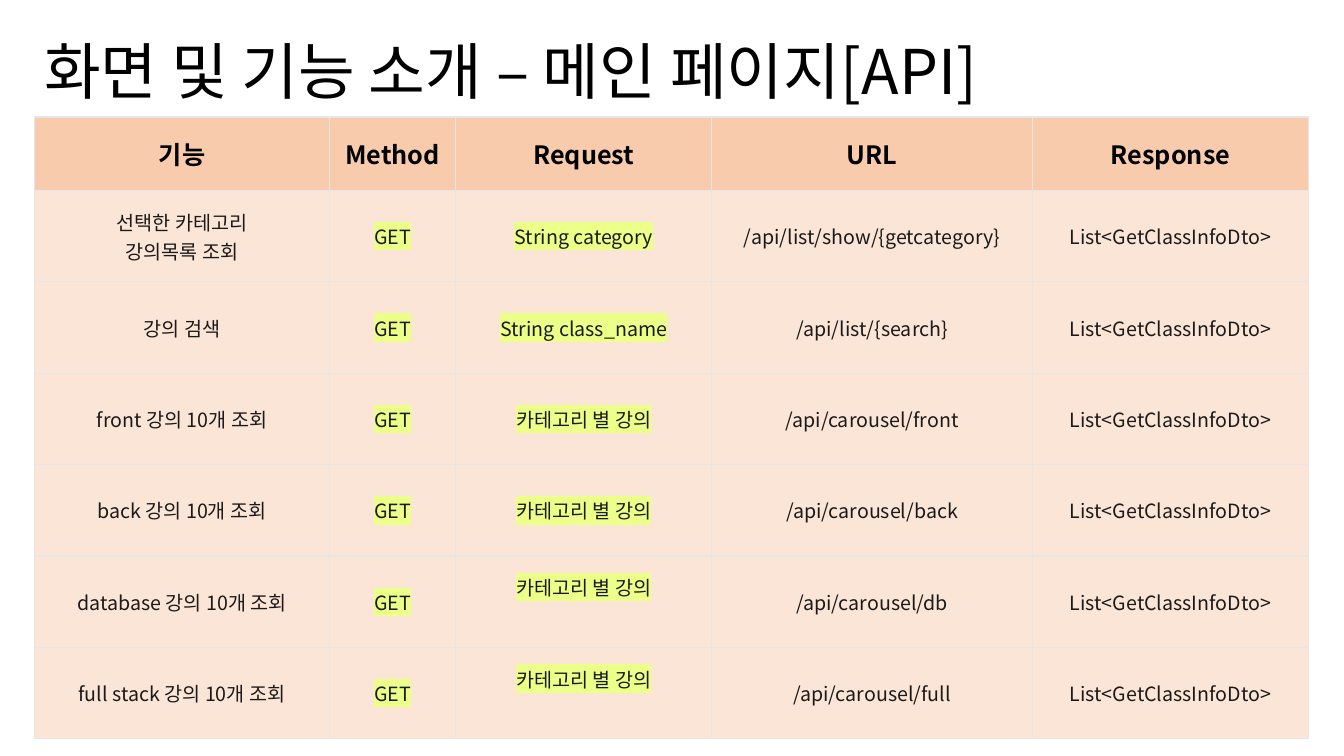
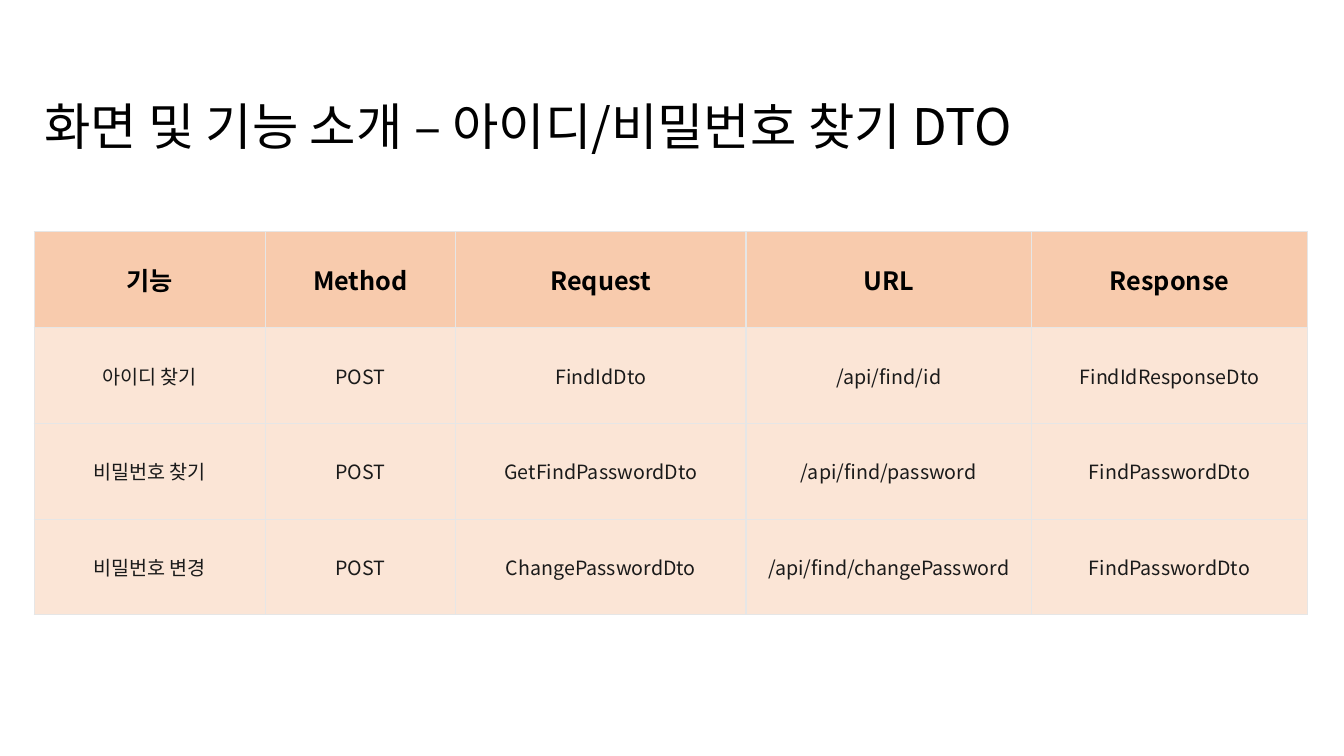
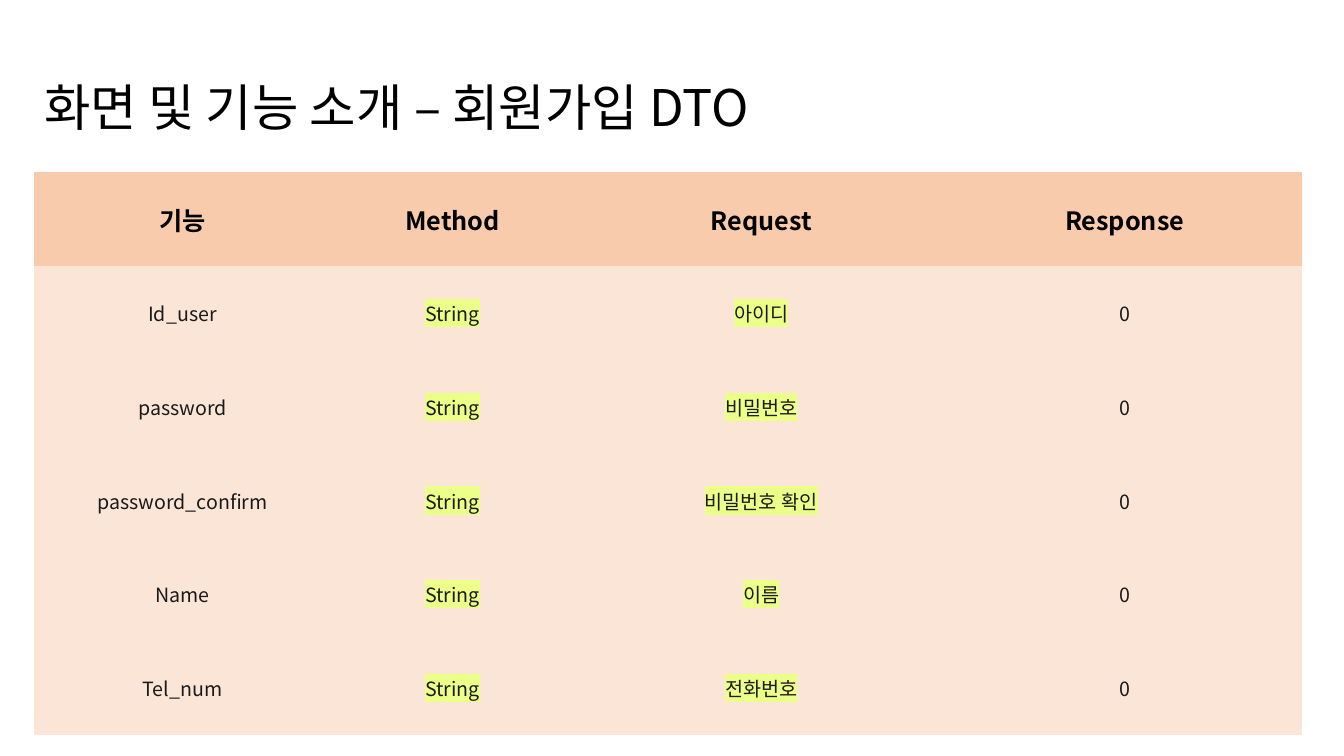
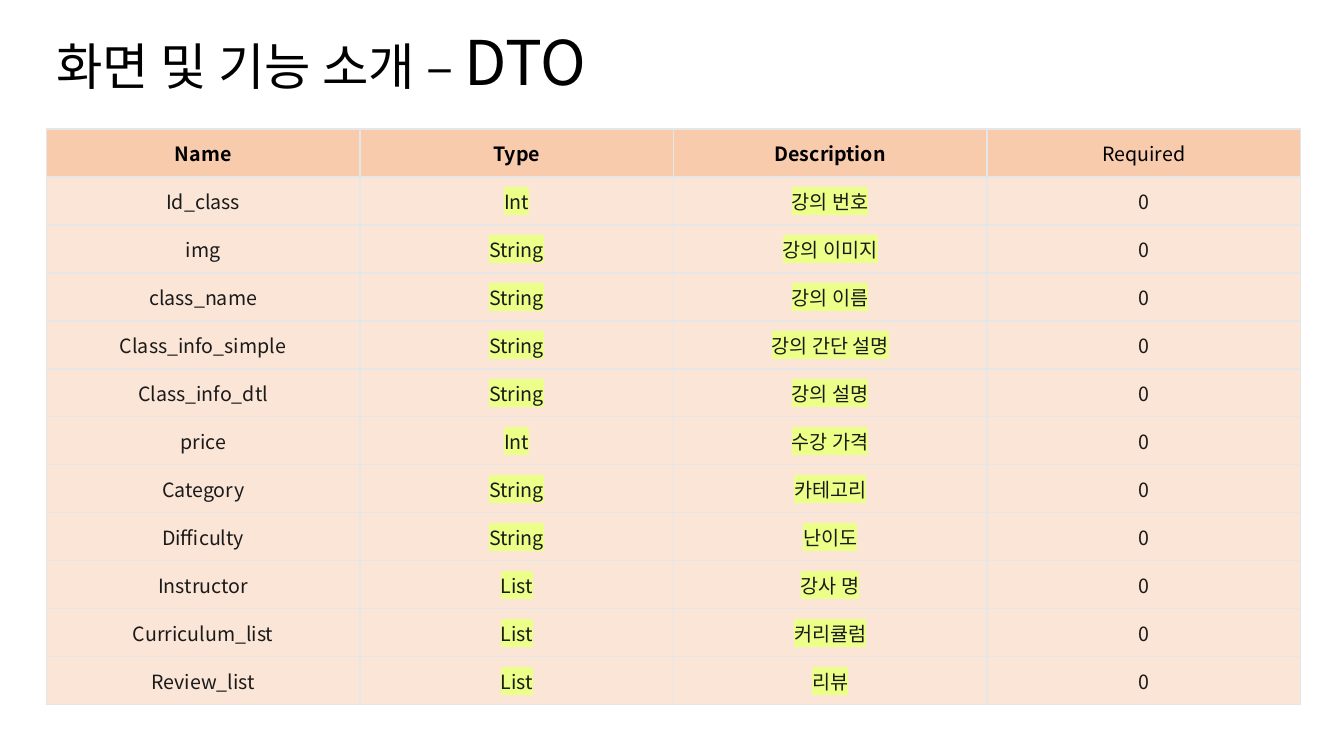
from lxml import etree
from pptx import Presentation
from pptx.dml.color import RGBColor
from pptx.enum import text
from pptx.oxml import ns
from pptx.util import Inches, Pt

FONT = "Noto Sans CJK KR"
BLACK = RGBColor(0x00, 0x00, 0x00)
INK = RGBColor(0x1A, 0x1A, 0x1A)
HEADER = RGBColor(0xF8, 0xCB, 0xAD)
BODY = RGBColor(0xFB, 0xE5, 0xD6)
GRID = RGBColor(0xE6, 0xE6, 0xE6)
MARKER = RGBColor(0xEC, 0xFF, 0x88)

TOPIC = "화면 및 기능 소개 – "
API_HEADER = ["기능", "Method", "Request", "URL", "Response"]
CLASS_LIST = "List<GetClassInfoDto>"
BY_CATEGORY = "카테고리 별 강의"

LECTURES = [("front", "front"), ("back", "back"), ("database", "db"), ("full stack", "full")]
MAIN_ROWS = [
    ["선택한 카테고리\n강의목록 조회", "GET", "String category", "/api/list/show/{getcategory}", CLASS_LIST],
    ["강의 검색", "GET", "String class_name", "/api/list/{search}", CLASS_LIST],
] + [[f"{name} 강의 10개 조회", "GET", BY_CATEGORY, f"/api/carousel/{route}", CLASS_LIST]
     for name, route in LECTURES]

FIND_ROWS = [
    ["아이디 찾기", "POST", "FindIdDto", "/api/find/id", "FindIdResponseDto"],
    ["비밀번호 찾기", "POST", "GetFindPasswordDto", "/api/find/password", "FindPasswordDto"],
    ["비밀번호 변경", "POST", "ChangePasswordDto", "/api/find/changePassword", "FindPasswordDto"],
]

SIGNUP_FIELDS = [
    ("Id_user", "아이디"), ("password", "비밀번호"), ("password_confirm", "비밀번호 확인"),
    ("Name", "이름"), ("Tel_num", "전화번호"),
]

CLASS_FIELDS = [
    ("Id_class", "Int", "강의 번호"), ("img", "String", "강의 이미지"),
    ("class_name", "String", "강의 이름"), ("Class_info_simple", "String", "강의 간단 설명"),
    ("Class_info_dtl", "String", "강의 설명"), ("price", "Int", "수강 가격"),
    ("Category", "String", "카테고리"), ("Difficulty", "String", "난이도"),
    ("Instructor", "List", "강사 명"), ("Curriculum_list", "List", "커리큘럼"),
    ("Review_list", "List", "리뷰"),
]

SLIDES = [
    dict(title=[(TOPIC + "메인 페이지[API]", 44)], title_box=(0.34, 0.19, 11.5, 1.09), centred=True,
         corner=(0.34, 1.16), columns=[2.93, 1.25, 2.54, 3.18, 2.74], header_height=0.73, row_height=0.907,
         header=API_HEADER, rows=MAIN_ROWS, marked=(1, 2), raised=[(5, 2), (6, 2)]),
    dict(title=[(TOPIC + "아이디/비밀번호 찾기 DTO", 36)], title_box=(0.34, 0.89, 11.5, 0.79),
         corner=(0.34, 2.3), columns=[2.29, 1.89, 2.88, 2.83, 2.74], row_height=0.95,
         header=API_HEADER, rows=FIND_ROWS, marked=()),
    dict(title=[(TOPIC + "회원가입 DTO", 36)], title_box=(0.34, 0.71, 11.5, 0.79),
         corner=(0.34, 1.71), columns=[2.94, 2.42, 3.7, 3.51], row_height=0.93, grid=False,
         header=["기능", "Method", "Request", "Response"],
         rows=[[name, "String", label, "0"] for name, label in SIGNUP_FIELDS], marked=(1, 2)),
    dict(title=[(TOPIC, 36), ("DTO", 44)], title_box=(0.46, 0.25, 10.95, 0.8), centred=True,
         corner=(0.46, 1.28), columns=[3.11] * 4, row_height=0.476, header_size=14, plain_header=(3,),
         header=["Name", "Type", "Description", "Required"],
         rows=[[*field, "0"] for field in CLASS_FIELDS], marked=(1, 2)),
]


def set_font(paragraph, size, color, bold=False):
    font = paragraph.font
    font.name, font.size, font.bold = FONT, Pt(size), bold
    font.color.rgb = color
    defaults = paragraph._p.pPr.find(ns.qn("a:defRPr"))
    etree.SubElement(defaults, ns.qn("a:ea"), typeface=FONT)


def add_color(parent, tag, color):
    holder = etree.SubElement(parent, ns.qn(tag))
    etree.SubElement(holder, ns.qn("a:srgbClr"), val=str(color))


def set_borders(cell, visible):
    properties = cell._tc.get_or_add_tcPr()
    for place, side in enumerate("LRTB"):
        border = etree.Element(ns.qn(f"a:ln{side}"), w=str(Pt(1)))
        if visible:
            add_color(border, "a:solidFill", GRID)
        else:
            etree.SubElement(border, ns.qn("a:noFill"))
        properties.insert(place, border)


def add_title(slide, parts, box, centred):
    frame = slide.shapes.add_textbox(*map(Inches, box)).text_frame
    frame.word_wrap = True
    frame.vertical_anchor = text.MSO_ANCHOR.MIDDLE if centred else text.MSO_ANCHOR.TOP
    heading = frame.paragraphs[0]
    if centred:
        heading.line_spacing = 0.9
    set_font(heading, parts[0][1], BLACK)
    for words, size in parts:
        run = heading.add_run()
        run.text = words
        if size != parts[0][1]:
            run.font.size = Pt(size)


def fill_cell(cell, words, fill, size, color, bold, marked, grid):
    cell.text = words
    cell.vertical_anchor = text.MSO_ANCHOR.MIDDLE
    cell.fill.solid()
    cell.fill.fore_color.rgb = fill
    set_borders(cell, grid)
    for paragraph in cell.text_frame.paragraphs:
        paragraph.alignment = text.PP_ALIGN.CENTER
        set_font(paragraph, size, color, bold)
        if marked:
            for run in paragraph.runs:
                add_color(run._r.get_or_add_rPr(), "a:highlight", MARKER)


def add_grid(slide, content):
    lines = [content["header"]] + content["rows"]
    columns = content["columns"]
    row_height = content["row_height"]
    heights = [content.get("header_height", row_height)] + [row_height] * len(content["rows"])
    size = (sum(columns), sum(heights))
    table = slide.shapes.add_table(len(lines), len(columns), *map(Inches, content["corner"] + size)).table
    table.first_row = table.horz_banding = False
    for column, width in zip(table.columns, columns):
        column.width = Inches(width)
    for row, height in zip(table.rows, heights):
        row.height = Inches(height)
    grid = content.get("grid", True)
    for r, line in enumerate(lines):
        for c, words in enumerate(line):
            if r == 0:
                style = (HEADER, content.get("header_size", 18), BLACK,
                         c not in content.get("plain_header", ()), False)
            else:
                style = (BODY, 14, INK, False, c in content["marked"])
            fill_cell(table.cell(r, c), words, *style, grid)
    for r, c in content.get("raised", ()):
        table.cell(r, c).margin_bottom = Inches(0.34)


def main():
    deck = Presentation()
    deck.slide_width, deck.slide_height = Inches(13.33), Inches(7.5)
    for content in SLIDES:
        slide = deck.slides.add_slide(deck.slide_layouts[6])
        add_title(slide, content["title"], content["title_box"], content.get("centred", False))
        add_grid(slide, content)
    deck.save("out.pptx")


if __name__ == "__main__":
    main()
